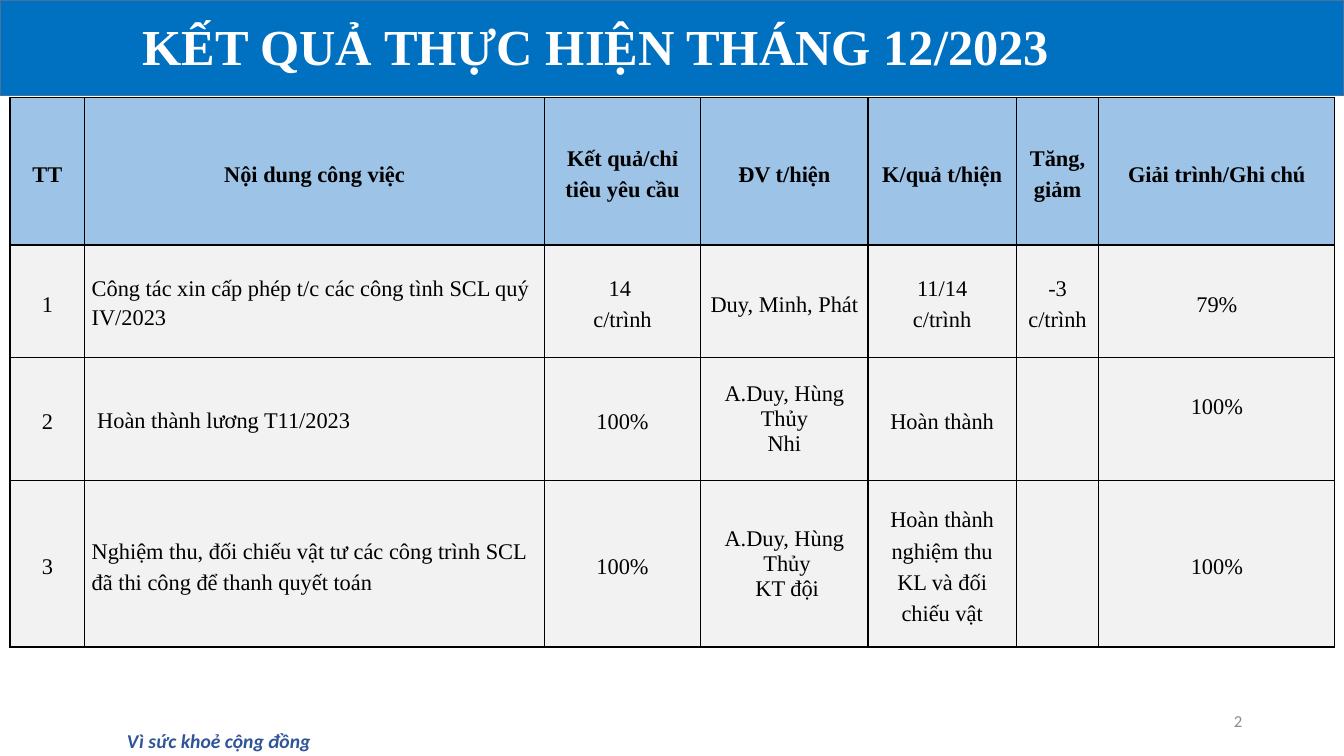
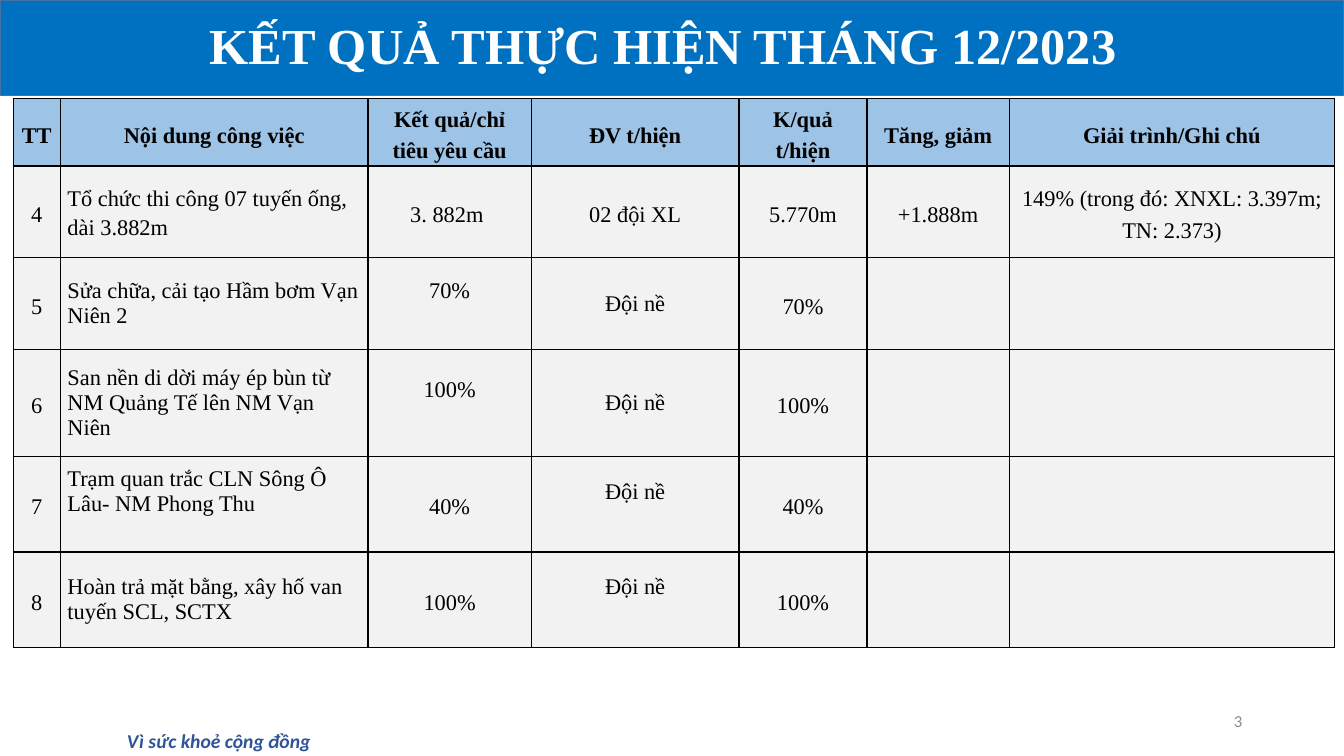
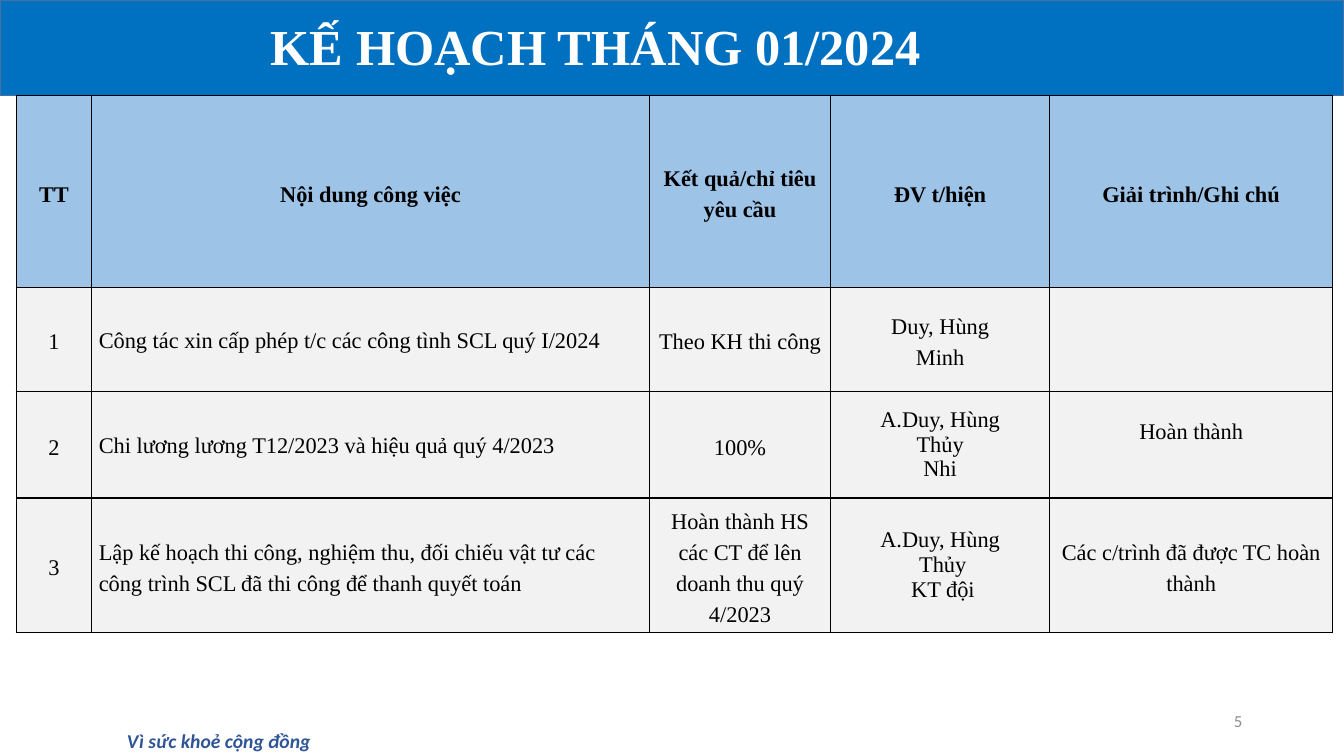
from lxml import etree
from pptx import Presentation
from pptx.dml.color import RGBColor
from pptx.enum.shapes import MSO_SHAPE
from pptx.enum.text import MSO_ANCHOR, PP_ALIGN
from pptx.oxml.ns import qn
from pptx.util import Inches, Pt

LEFT, CENTER, RIGHT = PP_ALIGN.LEFT, PP_ALIGN.CENTER, PP_ALIGN.RIGHT
TOP, MIDDLE = MSO_ANCHOR.TOP, MSO_ANCHOR.MIDDLE
RECT = MSO_SHAPE.RECTANGLE

COLORS = {"band": "0070C0", "band_line": "43739E", "header": "9DC3E6",
          "body": "F2F2F2", "border": "000000", "text": "000000",
          "title": "FFFFFF", "footer": "2F5597", "number": "8C8C8C"}
SERIF, SANS = "Times New Roman", "Calibri"
STYLES = {
    "title": {"size": Pt(36), "name": SERIF, "bold": True},
    "footer": {"size": Pt(14), "name": SANS, "bold": True, "italic": True},
    "number": {"size": Pt(12), "name": SANS},
    "header": {"size": Pt(16), "name": SERIF, "bold": True},
    "text": {"size": Pt(16), "name": SERIF, "bold": False},
}
FOOTER = "Vì sức khoẻ cộng đồng"
WIDE, MEDIUM, SINGLE = 1.25, 1.15, 1.0   # line spacing

# Column headings
RESULT_HEAD = ["TT", "Nội dung công việc", "Kết quả/chỉ tiêu yêu cầu", "ĐV t/hiện",
               "K/quả t/hiện", "Tăng, giảm", "Giải trình/Ghi chú"]
PLAN_HEAD = RESULT_HEAD[:4] + RESULT_HEAD[-1:]

# A cell is a text, or (text, line spacing, bottom margin); a line break starts a paragraph
SLIDES = [
    {"number": "2", "title": "KẾT QUẢ THỰC HIỆN THÁNG 12/2023",
     "title_box": (0.58, 0.1, 10.66, 1.1), "corner": (0.1, 0.97),
     "cols": [0.74, 4.56, 1.55, 1.66, 1.47, 0.82, 2.34],
     "heights": [1.46, 1.12, 1.22, 1.65],
     "rows": [
         RESULT_HEAD,
         ["1", ("Công tác xin cấp phép t/c các công tình SCL quý IV/2023", MEDIUM, 0),
          "14 \nc/trình", "Duy, Minh, Phát", "11/14\nc/trình", "-3 c/trình", "79%"],
         ["2", (" Hoàn thành lương T11/2023", MEDIUM, 0), "100%",
          ("A.Duy, Hùng Thủy\nNhi", SINGLE, 0), "Hoàn thành", "", ("100%", WIDE, 0.31)],
         ["3", "Nghiệm thu, đối chiếu vật tư các công trình SCL đã thi công "
               "để thanh quyết toán", "100%",
          ("A.Duy, Hùng\n Thủy\n KT đội", SINGLE, 0),
          "Hoàn thành nghiệm thu KL và đối chiếu vật", "", "100%"]]},
    {"number": "3", "title": "KẾT QUẢ THỰC HIỆN THÁNG 12/2023",
     "title_box": (1.91, 0.09, 9.34, 0.71), "corner": (0.13, 0.98),
     "cols": [0.47, 3.05, 1.62, 2.06, 1.27, 1.41, 3.23],
     "heights": [0.66, 0.91, 0.91, 1.06, 0.95, 0.95],
     "rows": [
         RESULT_HEAD,
         ["4", ("Tổ chức thi công 07 tuyến ống, dài 3.882m", MEDIUM, 0), "3. 882m ",
          "02 đội XL", "5.770m", "+1.888m", "149% (trong đó: XNXL: 3.397m; TN: 2.373)"],
         ["5", ("Sửa chữa, cải tạo Hầm bơm Vạn Niên 2", SINGLE, 0), ("70%", WIDE, 0.31),
          ("Đội nề", SINGLE, 0), "70%", "", ""],
         ["6", ("San nền di dời máy ép bùn từ NM Quảng Tế lên NM Vạn Niên", SINGLE, 0),
          ("100%", WIDE, 0.31), ("Đội nề", SINGLE, 0), "100%", "", ""],
         ["7", ("Trạm quan trắc CLN Sông Ô Lâu- NM Phong Thu", SINGLE, 0.25), "40%",
          ("Đội nề", SINGLE, 0.25), "40%", "", ""],
         ["8", ("Hoàn trả mặt bằng, xây hố van tuyến SCL, SCTX", SINGLE, 0), "100%",
          ("Đội nề", SINGLE, 0.25), "100%", "", ""]]},
    {"number": "5", "title": "KẾ HOẠCH THÁNG 01/2024",
     "title_box": (0.58, 0.1, 10.66, 0.75), "corner": (0.16, 0.95),
     "cols": [0.75, 5.53, 1.8, 2.17, 2.81],
     "heights": [1.9, 1.03, 1.06, 1.33],
     "rows": [
         PLAN_HEAD,
         ["1", ("Công tác xin cấp phép t/c các công tình SCL quý I/2024", MEDIUM, 0),
          "Theo KH thi công", "Duy, Hùng\n Minh ", ""],
         ["2", ("Chi lương lương T12/2023 và hiệu quả quý 4/2023", MEDIUM, 0), "100%",
          ("A.Duy, Hùng\nThủy\nNhi", SINGLE, 0), ("Hoàn thành", WIDE, 0.31)],
         ["3", "Lập kế hoạch thi công, nghiệm thu, đối chiếu vật tư các công trình SCL "
               "đã thi công để thanh quyết toán",
          "Hoàn thành HS các CT để lên doanh thu quý 4/2023",
          ("A.Duy, Hùng\n Thủy\n KT đội", SINGLE, 0),
          "Các c/trình đã được TC hoàn thành"]]},
]


def color(name):
    return RGBColor.from_string(COLORS[name])


def write(tf, text, style, ink, align, spacing=None):
    for i, line in enumerate(text.split("\n")):
        p = tf.paragraphs[0] if i == 0 else tf.add_paragraph()
        p.alignment, p.line_spacing = align, spacing
        if line:
            r = p.add_run()
            r.text = line
            for key, value in STYLES[style].items():
                setattr(r.font, key, value)
            r.font.color.rgb = color(ink)


def add_text(s, box, text, style, align, anchor=TOP):
    sp = s.shapes.add_textbox(*map(Inches, box))
    tf = sp.text_frame
    tf.word_wrap, tf.vertical_anchor = True, anchor
    write(tf, text, style, style, align)
    return sp


def add_borders(cell):
    tc_pr = cell._tc.get_or_add_tcPr()
    for side in ("a:lnL", "a:lnR", "a:lnT", "a:lnB"):
        ln = etree.SubElement(tc_pr, qn(side), w=str(Pt(1)))
        fill = etree.SubElement(ln, qn("a:solidFill"))
        etree.SubElement(fill, qn("a:srgbClr"), val=COLORS["border"])


def add_table(s, corner, cols, heights, rows):
    size = (sum(cols), sum(heights))
    table = s.shapes.add_table(len(rows), len(cols), *map(Inches, corner + size)).table
    for column, width in zip(table.columns, cols):
        column.width = Inches(width)
    for row, height in zip(table.rows, heights):
        row.height = Inches(height)
    for i, row in enumerate(rows):
        for j, entry in enumerate(row):
            text, spacing, bottom = entry if isinstance(entry, tuple) else (entry, WIDE, 0)
            cell = table.cell(i, j)
            cell.vertical_anchor = MIDDLE
            cell.margin_left = cell.margin_right = Inches(0.07)
            cell.margin_top, cell.margin_bottom = 0, Inches(bottom)
            add_borders(cell)
            cell.fill.solid()
            cell.fill.fore_color.rgb = color("body" if i else "header")
            write(cell.text_frame, text, "text" if i else "header", "text",
                  LEFT if i and j == 1 else CENTER, spacing)


def dress_layout(layout, s):
    """Make the shared band and footer, then move them to the layout."""
    for placeholder in list(layout.placeholders):
        layout.shapes.element.remove(placeholder.element)
    band = s.shapes.add_shape(RECT, 0, 0, Inches(13.33), Inches(0.95))
    band.shadow.inherit = False
    band.fill.solid()
    band.fill.fore_color.rgb = color("band")
    band.line.color.rgb = color("band_line")
    band.line.width = Pt(1)
    footer = add_text(s, (1.16, 7.18, 3.09, 0.34), FOOTER, "footer", LEFT)
    for sp in (band, footer):
        layout.shapes.element.append(sp.element)


def main():
    prs = Presentation()
    prs.slide_width, prs.slide_height = Inches(13.33), Inches(7.5)
    blank = prs.slide_layouts[6]
    for i, data in enumerate(SLIDES):
        s = prs.slides.add_slide(blank)
        if i == 0:
            dress_layout(blank, s)
        add_text(s, (9.42, 6.95, 3, 0.4), data["number"], "number", RIGHT, MIDDLE)
        add_table(s, data["corner"], data["cols"], data["heights"], data["rows"])
        add_text(s, data["title_box"], data["title"], "title", CENTER)
    prs.save("out.pptx")


if __name__ == "__main__":
    main()
